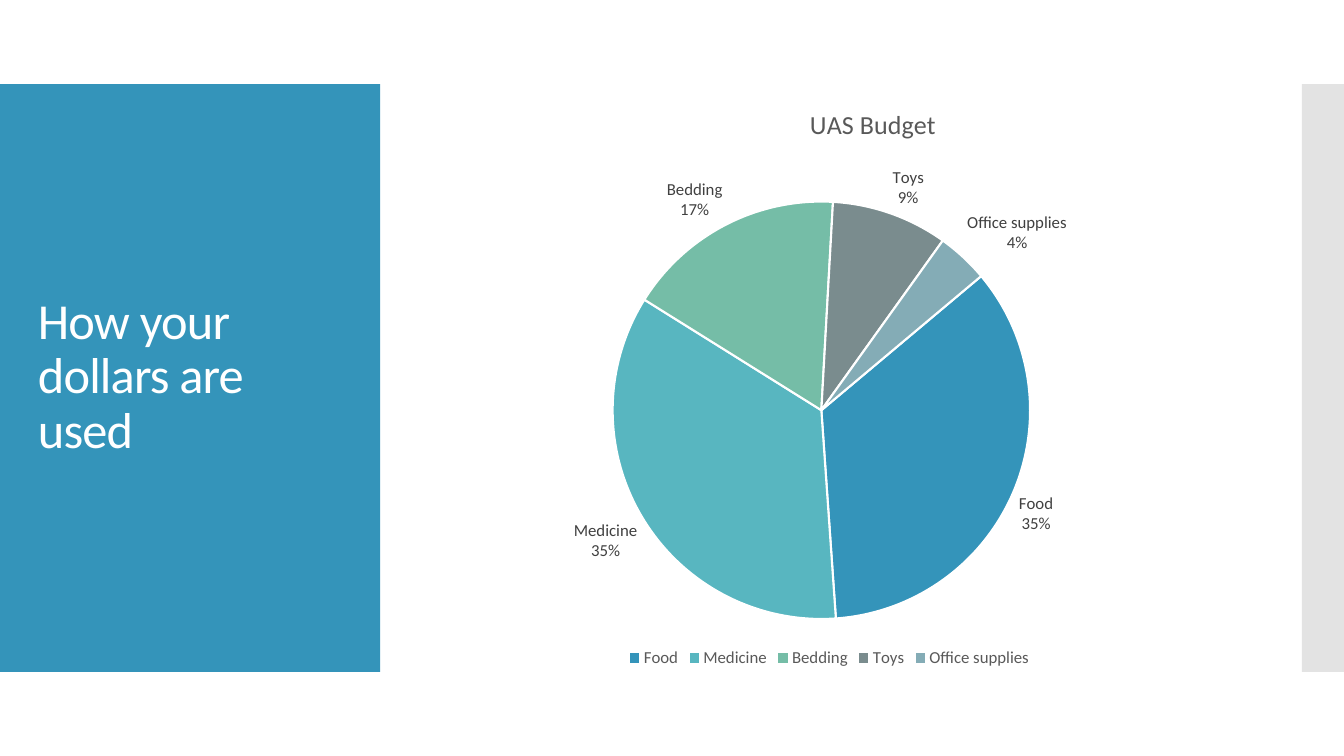
from lxml import etree
from pptx import Presentation
from pptx import util as u
from pptx.chart.data import CategoryChartData
from pptx.dml.color import RGBColor
from pptx.enum import chart as charts, shapes, text
from pptx.oxml import parse_xml
from pptx.oxml.ns import nsdecls, qn

WHITE = RGBColor(0xFF, 0xFF, 0xFF)
BLUE = RGBColor(0x34, 0x94, 0xBA)
AQUA = RGBColor(0x58, 0xB6, 0xC0)
GREEN = RGBColor(0x75, 0xBD, 0xA7)
SLATE = RGBColor(0x7A, 0x8C, 0x8E)
MIST = RGBColor(0x84, 0xAC, 0xB6)
SILVER = RGBColor(0xC8, 0xC8, 0xC8)
DARK_GREY = RGBColor(0x40, 0x40, 0x40)
GREY = RGBColor(0x59, 0x59, 0x59)

BUDGET = [
    ("Food", 35, BLUE),
    ("Medicine", 35, AQUA),
    ("Bedding", 17, GREEN),
    ("Toys", 9, SLATE),
    ("Office supplies", 4, MIST),
]
BAND_TOP, BAND_HEIGHT = 60, 420


def manual_layout(inner=False, **fractions):
    """Chart layout element; x, y, w and h are fractions of the chart area."""
    parts = '<c:layoutTarget val="inner"/>' if inner else ""
    parts += "".join(f'<c:{side}Mode val="edge"/>' for side in "xy")
    parts += "".join(f'<c:{side} val="{value}"/>' for side, value in fractions.items())
    return parse_xml(f'<c:layout {nsdecls("c")}><c:manualLayout>{parts}</c:manualLayout></c:layout>')


class SlideBuilder:
    font_name = "Calibri"

    def __init__(self, slide):
        self.slide = slide

    def style(self, font, size, color):
        font.name = self.font_name
        font.size = u.Pt(size)
        font.bold = False
        font.color.rgb = color

    def panel(self, left, top, width, height, color, opacity=100):
        panel = self.slide.shapes.add_shape(
            shapes.MSO_SHAPE.RECTANGLE, u.Pt(left), u.Pt(top), u.Pt(width), u.Pt(height))
        panel.shadow.inherit = False
        panel.fill.solid()
        panel.fill.fore_color.rgb = color
        panel.line.fill.background()
        if opacity < 100:
            tint = panel.fill._xPr.find(".//" + qn("a:srgbClr"))
            etree.SubElement(tint, qn("a:alpha"), val=str(opacity * 1000))

    def heading(self, words, left, top, width, height):
        frame = self.slide.shapes.add_textbox(
            u.Pt(left), u.Pt(top), u.Pt(width), u.Pt(height)).text_frame
        frame.word_wrap = True
        frame.vertical_anchor = text.MSO_ANCHOR.MIDDLE
        line = frame.paragraphs[0]
        line.line_spacing = 0.9
        self.style(line.font, 36, WHITE)
        run = line.add_run()
        run.text = words
        run._r.get_or_add_rPr().set("spc", "-60")

    def pie(self, title, slices, left, top, width, height, start):
        data = CategoryChartData()
        data.categories = [name for name, _, _ in slices]
        data.add_series("Series 1", [share for _, share, _ in slices])
        chart = self.slide.shapes.add_chart(
            charts.XL_CHART_TYPE.PIE, u.Pt(left), u.Pt(top), u.Pt(width), u.Pt(height), data).chart
        self.style(chart.font, 12, GREY)

        chart.has_title = True
        heading = chart.chart_title
        heading.text_frame.text = title
        self.style(heading.text_frame.paragraphs[0].font, 18.6, GREY)
        heading.include_in_layout = False
        self.place(heading._element, manual_layout(x=0.47, y=0.03), "c:tx")

        chart.has_legend = True
        chart.legend.position = charts.XL_LEGEND_POSITION.BOTTOM
        chart.legend.include_in_layout = False
        self.style(chart.legend.font, 12, GREY)

        plot = chart.plots[0]
        plot.vary_by_categories = True
        plot_area = plot._element.getparent()
        self.place(plot_area, manual_layout(inner=True, x=0.23, y=0.2, w=0.52, h=0.71))
        angle = plot._element.find(qn("c:firstSliceAng"))
        if angle is None:
            angle = etree.SubElement(plot._element, qn("c:firstSliceAng"))
        angle.set("val", str(start))

        series = plot.series[0]
        for index, (_, _, color) in enumerate(slices):
            wedge = series.points[index].format
            wedge.fill.solid()
            wedge.fill.fore_color.rgb = color
            wedge.line.color.rgb = WHITE
            wedge.line.width = u.Pt(1.5)

        labels = series.data_labels
        labels.show_category_name = True
        labels.show_percentage = True
        labels.show_value = False
        labels.position = charts.XL_LABEL_POSITION.OUTSIDE_END
        self.style(labels.font, 12, DARK_GREY)

    @staticmethod
    def place(parent, layout, after=None):
        """Put the layout in parent, after the named child or else first."""
        for old in parent.findall(qn("c:layout")):
            parent.remove(old)
        if after:
            parent.find(qn(after)).addnext(layout)
        else:
            parent.insert(0, layout)


def main():
    deck = Presentation()
    deck.slide_width, deck.slide_height = u.Pt(960), u.Pt(540)
    builder = SlideBuilder(deck.slides.add_slide(deck.slide_layouts[6]))
    builder.panel(0, BAND_TOP, 271.5, BAND_HEIGHT, BLUE)
    builder.panel(930, BAND_TOP, 30, BAND_HEIGHT, SILVER, opacity=50)
    builder.heading("How your dollars are used", 20, 88.5, 232, 362)
    builder.pie("UAS Budget", BUDGET, 304.5, BAND_TOP, 576, BAND_HEIGHT, start=50)
    deck.save("out.pptx")


if __name__ == "__main__":
    main()
